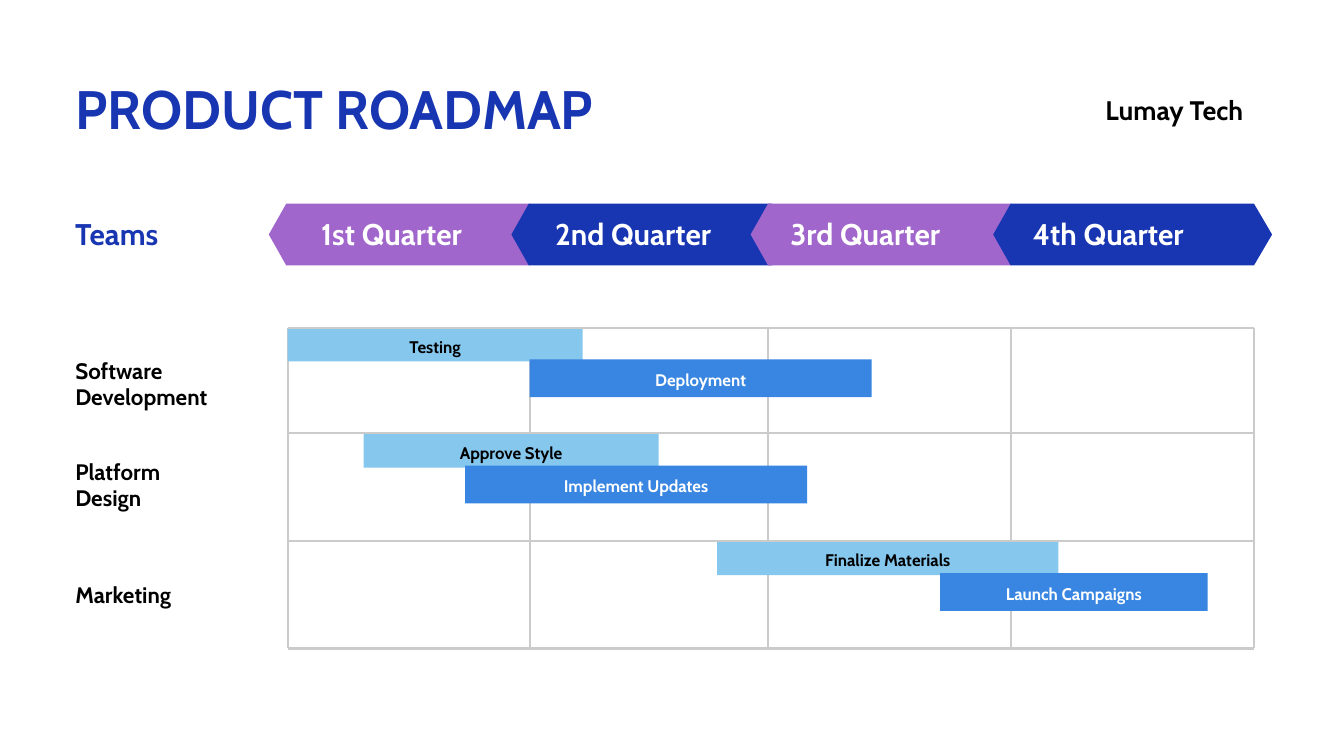
from lxml import etree
from pptx import Presentation
from pptx.dml.color import RGBColor
from pptx.enum.shapes import MSO_CONNECTOR, MSO_SHAPE
from pptx.enum.text import MSO_ANCHOR, PP_ALIGN
from pptx.oxml.ns import qn
from pptx.util import Pt

PX = 9144
FONT = "Cabin"
STRAIGHT = MSO_CONNECTOR.STRAIGHT
RECTANGLE = MSO_SHAPE.RECTANGLE
MIDDLE = MSO_ANCHOR.MIDDLE
LEFT, CENTER = PP_ALIGN.LEFT, PP_ALIGN.CENTER

COLORS = {
    "navy": "1836B2",
    "purple": "A066CB",
    "sky": "86C7ED",
    "blue": "3886E1",
    "grid": "CBCBCB",
    "black": "000000",
    "white": "FFFFFF",
}

COLUMN_LINES = [428, 789, 1143, 1504, 1866]
ROW_LINES = [488, 645, 805, 965]

QUARTERS = [
    ("1st Quarter", 400, 478, "purple"),
    ("2nd Quarter", 761, 826, "navy"),
    ("3rd Quarter", 1117, 1176, "purple"),
    ("4th Quarter", 1478, 1537, "navy"),
]

TEAMS = [
    ("Software Development", 533, 76),
    ("Platform\nDesign", 684, 76),
    ("Marketing", 867, 38),
]

TASKS = [
    (488, ("Testing", 428, 439), ("Deployment", 788, 509)),
    (646, ("Approve Style", 541, 439), ("Implement Updates", 692, 509)),
    (806, ("Finalize Materials", 1067, 508), ("Launch Campaigns", 1399, 398)),
]


def color(name):
    return RGBColor.from_string(COLORS[name])


def write(shape, text, size, spacing, color_name, align=LEFT, margin_left=0):
    frame = shape.text_frame
    frame.text = text
    frame.word_wrap = True
    frame.margin_left = margin_left * PX
    frame.margin_top = frame.margin_right = frame.margin_bottom = 0
    for paragraph in frame.paragraphs:
        paragraph.alignment = align
        paragraph.line_spacing = Pt(spacing)
        for run in paragraph.runs:
            run.font.name = FONT
            run.font.size = Pt(size)
            run.font.bold = True
            run.font.color.rgb = color(color_name)


def paint(shape, color_name):
    shape.shadow.inherit = False
    shape.fill.solid()
    shape.fill.fore_color.rgb = color(color_name)
    shape.line.fill.background()
    shape.text_frame.vertical_anchor = MIDDLE


def add_text(slide, box, text, size, spacing, color_name):
    shape = slide.shapes.add_textbox(*[value * PX for value in box])
    write(shape, text, size, spacing, color_name)


def add_grid_line(slide, x1, y1, x2, y2):
    ends = [value * PX for value in (x1, y1, x2, y2)]
    connector = slide.shapes.add_connector(STRAIGHT, *ends)
    connector.line.color.rgb = color("grid")
    connector.line.width = Pt(2.25)
    etree.SubElement(connector.element.spPr, qn("a:effectLst"))


def add_bar(slide, task, top, height, fill, text_color):
    text, left, width = task
    box = [value * PX for value in (left, top, width, height)]
    shape = slide.shapes.add_shape(RECTANGLE, *box)
    paint(shape, fill)
    write(shape, text, 18, 25.2, text_color, CENTER)


def add_quarter(slide, text, left, text_left, fill):
    top, middle, bottom = 303, 349, 395
    inner_left, inner_right, right = left + 26, left + 388, left + 415
    builder = slide.shapes.build_freeform(inner_right, top, scale=PX)
    builder.add_line_segments([
        (inner_left, top), (left, middle), (inner_left, bottom),
        (inner_right, bottom), (right, middle),
    ], close=True)
    shape = builder.convert_to_shape()
    paint(shape, fill)
    write(shape, text, 32, 36.8, "white", margin_left=text_left - left)


def main():
    presentation = Presentation()
    presentation.slide_width = 2000 * PX
    presentation.slide_height = 1125 * PX
    slide = presentation.slides.add_slide(presentation.slide_layouts[6])

    add_text(slide, (112, 112, 1296, 96), "PRODUCT ROADMAP", 58, 69.6, "navy")
    add_text(slide, (1645, 131, 242, 52), "Lumay Tech", 28.7, 40.1, "black")
    add_text(slide, (112, 323, 204, 52), "Teams", 32, 36.8, "navy")
    for team, top, height in TEAMS:
        add_text(slide, (112, top, 241, height), team, 24, 27.6, "black")

    for x in COLUMN_LINES:
        add_grid_line(slide, x, ROW_LINES[0], x, ROW_LINES[-1])
    for top, first_task, second_task in TASKS:
        add_bar(slide, first_task, top, 50, "sky", "black")
        add_bar(slide, second_task, top + 47, 56, "blue", "white")
    for y in ROW_LINES:
        add_grid_line(slide, COLUMN_LINES[0], y, COLUMN_LINES[-1], y)

    for quarter in QUARTERS:
        add_quarter(slide, *quarter)

    presentation.save("out.pptx")


if __name__ == "__main__":
    main()
